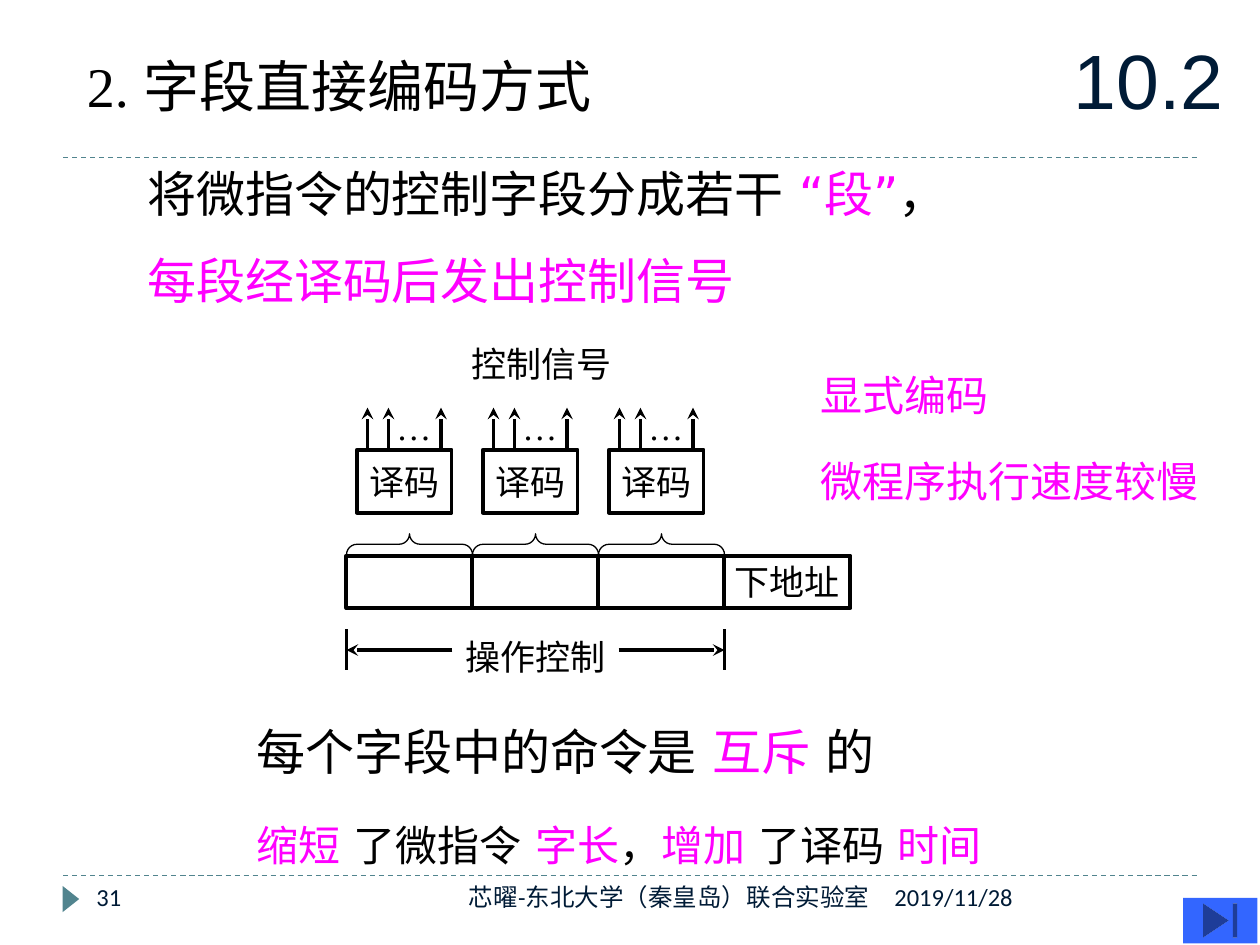
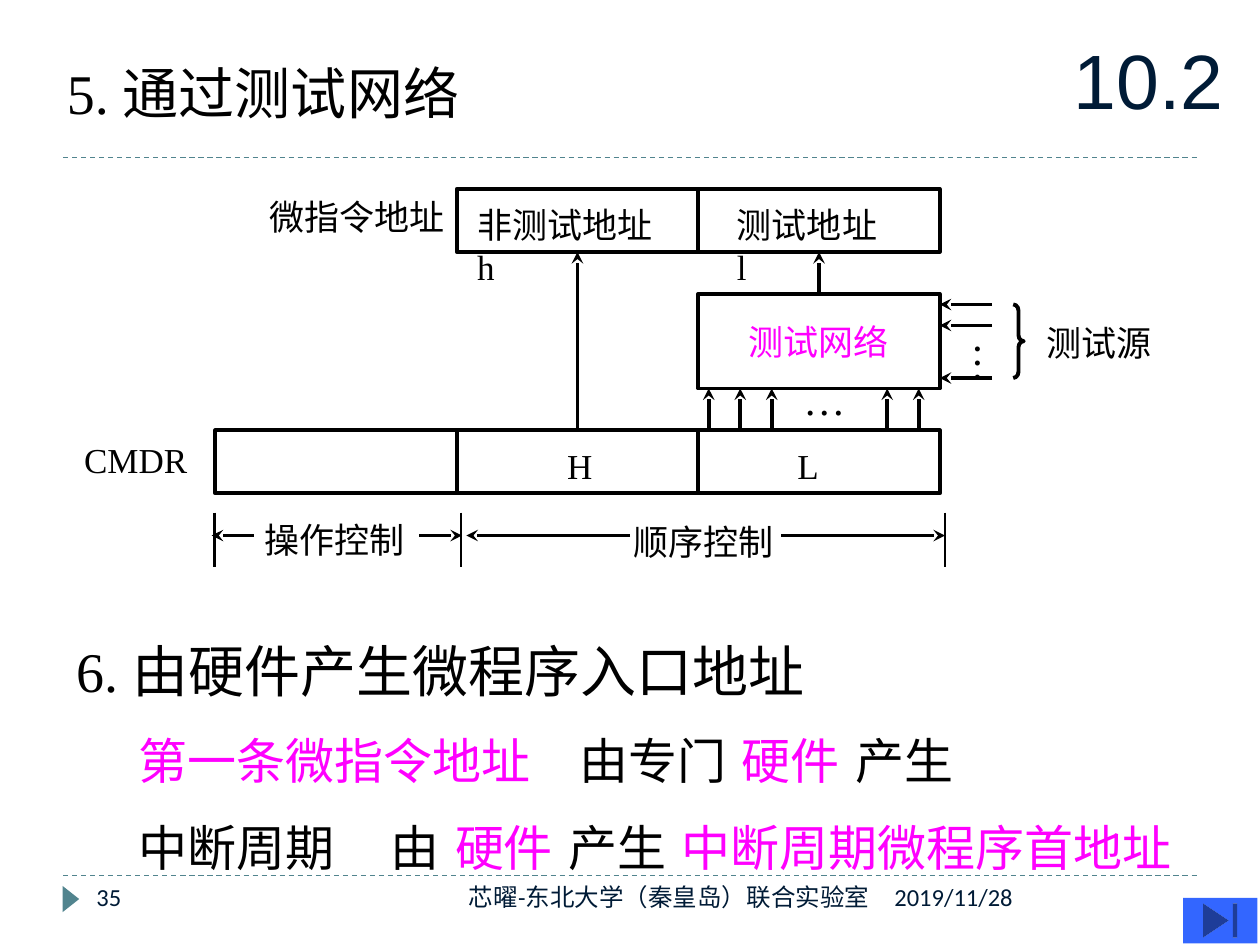
"""Build two slides on microinstruction encoding and microprogram address generation."""
from dataclasses import dataclass
from typing import Any, Optional

import lxml.etree
import pptx
import pptx.dml.color
import pptx.enum.dml
import pptx.enum.shapes
import pptx.enum.text
import pptx.oxml.ns
import pptx.util

Pt = pptx.util.Pt
qn = pptx.oxml.ns.qn
Shapes = pptx.enum.shapes.MSO_SHAPE
Align = pptx.enum.text.PP_ALIGN
Anchor = pptx.enum.text.MSO_ANCHOR

COLORS = {
    "ink": "000000",
    "accent": "FF00FF",
    "rule": "51848E",
    "navy": "001B36",
    "button": "3366FF",
}
SERIF, SANS, ARIAL, FOOTER_FONT = "Times New Roman", "DejaVu Sans", "Arial", "Calibri"
DATE = "2019/11/28"
LAB_NAME = "芯曜-东北大学（秦皇岛）联合实验室"


@dataclass(frozen=True)
class Box:
    left: float
    top: float
    width: float
    height: float = 31


@dataclass(frozen=True)
class Run:
    text: str
    color: Optional[str] = None
    font: Optional[str] = None


@dataclass(frozen=True)
class Label:
    text: str
    left: float
    top: float
    width: float = 110


@dataclass(frozen=True)
class Segment:
    x1: float
    y1: float
    x2: float
    y2: float
    arrow: bool = True
    weight: float = 2.25


def accent(text: str, font: Optional[str] = None) -> Run:
    return Run(text, "accent", font)


def rgb(name: str) -> pptx.dml.color.RGBColor:
    return pptx.dml.color.RGBColor.from_string(COLORS[name])


def place(shape: Any, box: Box) -> None:
    shape.left, shape.top = Pt(box.left), Pt(box.top)
    shape.width, shape.height = Pt(box.width), Pt(box.height)


def write_text(shape: Any, *paragraphs: list[Run], size: float = 20, color: str = "ink",
               font: str = SERIF, align: Any = Align.LEFT, anchor: Any = Anchor.TOP,
               wrap: bool = True, gap: float = 0, tabs: tuple[float, ...] = ()) -> None:
    frame = shape.text_frame
    frame.auto_size = pptx.enum.text.MSO_AUTO_SIZE.NONE
    frame.word_wrap = wrap
    frame.vertical_anchor = anchor
    for index, runs in enumerate(paragraphs):
        paragraph = frame.add_paragraph() if index else frame.paragraphs[0]
        properties = paragraph._p.get_or_add_pPr()
        properties.set("marL", "0")
        properties.set("indent", "0")
        lxml.etree.SubElement(properties, qn("a:buNone"))
        if tabs:
            tab_list = lxml.etree.SubElement(properties, qn("a:tabLst"))
            lxml.etree.SubElement(tab_list, qn("a:tab"), pos=str(Pt(tabs[index])), algn="l")
        paragraph.alignment = align
        paragraph.space_before = Pt(gap if index else 0)
        for item in runs:
            run = paragraph.add_run()
            run.text = item.text
            run.font.size = Pt(size)
            run.font.name = item.font or font
            run.font.color.rgb = rgb(item.color or color)
            east_asian = lxml.etree.SubElement(run._r.get_or_add_rPr(), qn("a:ea"))
            east_asian.set("typeface", SANS)


def add_text(slide: Any, box: Box, *runs: Run, **text_format: Any) -> Any:
    shape = slide.shapes.add_textbox(Pt(box.left), Pt(box.top), Pt(box.width), Pt(box.height))
    write_text(shape, list(runs), **text_format)
    return shape


def add_labels(slide: Any, labels: list[Label]) -> None:
    for label in labels:
        add_text(slide, Box(label.left, label.top, label.width), Run(label.text))


def add_shape(slide: Any, kind: Any, box: Box, fill: Optional[str] = None,
              weight: float = 2.25, rotation: float = 0) -> Any:
    shape = slide.shapes.add_shape(kind, Pt(box.left), Pt(box.top), Pt(box.width), Pt(box.height))
    shape.shadow.inherit = False
    shape.rotation = rotation
    if fill:
        shape.fill.solid()
        shape.fill.fore_color.rgb = rgb(fill)
        shape.line.fill.background()
    else:
        shape.fill.background()
        shape.line.color.rgb = rgb("ink")
        shape.line.width = Pt(weight)
    return shape


def add_cell(slide: Any, box: Box, text: str = "", color: str = "ink") -> Any:
    cell = add_shape(slide, Shapes.RECTANGLE, box)
    if text:
        write_text(cell, [Run(text)], color=color, align=Align.CENTER,
                   anchor=Anchor.MIDDLE, wrap=False)
    return cell


def add_segment(slide: Any, segment: Segment, color: str = "ink", dashed: bool = False) -> Any:
    connector = slide.shapes.add_connector(
        pptx.enum.shapes.MSO_CONNECTOR.STRAIGHT,
        Pt(segment.x1), Pt(segment.y1), Pt(segment.x2), Pt(segment.y2))
    connector.line.color.rgb = rgb(color)
    connector.line.width = Pt(segment.weight)
    if dashed:
        connector.line.dash_style = pptx.enum.dml.MSO_LINE.DASH
    if segment.arrow:
        lxml.etree.SubElement(connector.line._get_or_add_ln(), qn("a:tailEnd"), type="stealth")
    lxml.etree.SubElement(connector._element.spPr, qn("a:effectLst"))
    return connector


def join_up(slide: Any, lower: Any, upper: Any) -> None:
    connector = add_segment(slide, Segment(0, 0, 0, 0))
    connector.begin_connect(lower, 0)
    connector.end_connect(upper, 2)


def start_slide(presentation: Any, number: int, title_box: Box, title: list[Run],
                body_box: Box, body: list[list[Run]], tabs: tuple[float, ...] = ()) -> Any:
    slide = presentation.slides.add_slide(presentation.slide_layouts[1])
    place(slide.shapes.title, title_box)
    write_text(slide.shapes.title, title, size=32)
    place(slide.placeholders[1], body_box)
    write_text(slide.placeholders[1], *body, size=28, font=SANS, gap=16, tabs=tabs)
    for y in (90, 500.5):
        add_segment(slide, Segment(36, y, 684, y, False, 0.75), "rule", dashed=True)
    add_shape(slide, Shapes.ISOSCELES_TRIANGLE, Box(33, 509, 15, 9.5), "rule", rotation=90)
    add_text(slide, Box(606.5, 12, 113.5, 66), Run("10.2"), size=44, color="navy",
             font=ARIAL, anchor=Anchor.MIDDLE)
    add_shape(slide, Shapes.ACTION_BUTTON_END, Box(676, 513, 42.5, 26), "button")
    for text, left, width, align in ((DATE, 504, 180, Align.LEFT),
                                     (str(number), 48, 156, Align.LEFT),
                                     (LAB_NAME, 228, 276, Align.RIGHT)):
        add_text(slide, Box(left, 500.5, width, 29), Run(text), size=14, color="navy",
                 font=FOOTER_FONT, align=align)
    return slide


def add_decoder(slide: Any, left: float) -> None:
    add_cell(slide, Box(left + 6, 257, 54, 36), "译码")
    for offset in (12, 24, 54):
        add_segment(slide, Segment(left + offset, 257, left + offset, 233))
    add_text(slide, Box(left + 21.5, 228, 36), Run("…"))
    add_cell(slide, Box(left, 317.5, 72, 30))
    brace = add_shape(slide, Shapes.LEFT_BRACE, Box(left + 30, 275, 12, 72),
                      weight=0.75, rotation=90)
    brace.adjustments[0] = 0.5


def build_field_encoding(presentation: Any) -> None:
    slide = start_slide(
        presentation, 31, Box(42.5, 26, 560, 45), [Run("2. "), Run("字段直接编码方式", font=SANS)],
        Box(77, 90, 601, 91),
        [[Run("将微指令的控制字段分成若干 "), accent("“", ARIAL), accent("段"),
          accent("”", ARIAL), Run("，")],
         [accent("每段经译码后发出控制信号")]])
    for index in range(3):
        add_decoder(slide, 198 + 72 * index)
    add_cell(slide, Box(414, 317.5, 72, 30), "下地址")
    for x in (198, 414):
        add_segment(slide, Segment(x, 359.5, x, 383, arrow=False))
    for start, end in ((258.5, 198), (353.5, 414)):
        add_segment(slide, Segment(start, 371.5, end, 371.5))
    add_labels(slide, [Label("操作控制", 259, 359.5), Label("控制信号", 262.5, 192)])
    add_text(slide, Box(139.5, 409, 414, 41), Run("每个字段中的命令是 "), accent("互斥 "),
             Run("的"), size=28, font=SANS)
    add_text(slide, Box(139.5, 465, 440, 36), accent("缩短 "), Run("了微指令 "), accent("字长"),
             Run("，"), accent("增加 "), Run("了译码 "), accent("时间"), size=24)
    for text, top in (("显式编码", 207.5), ("微程序执行速度较慢", 256.5)):
        add_text(slide, Box(462, top, 245, 36), accent(text), size=24)


def build_test_network(presentation: Any) -> None:
    slide = start_slide(
        presentation, 35, Box(31, 30, 570, 45), [Run("5. "), Run("通过测试网络", font=SANS)],
        Box(72, 414, 614, 90),
        [[accent("第一条微指令地址"), Run("\t由专门 "), accent("硬件 "), Run("产生")],
         [Run("中断周期\t由 "), accent("硬件 "), Run("产生 "), accent("中断周期微程序首地址")]],
        tabs=(255, 138))
    add_text(slide, Box(36.5, 360, 504, 45), Run("6. 由硬件产生"),
             Run("微程序入口地址", font=SANS), size=32)

    columns = [123 + 138 * index for index in range(3)]
    address_high, address_low = [add_cell(slide, Box(x, 108, 138, 36)) for x in columns[1:]]
    register_cells = [add_cell(slide, Box(x, 246, 138, 36)) for x in columns]
    network = add_cell(slide, Box(columns[2], 168, 138, 54), "测试网络", "accent")
    join_up(slide, register_cells[1], address_high)
    join_up(slide, network, address_low)

    for x in (405, 423, 441, 507, 525):
        add_segment(slide, Segment(x, 246, x, 222))
    for y in (174, 186, 216):
        add_segment(slide, Segment(567, y, 537, y))
    add_text(slide, Box(452, 210, 40, 36), Run("…"), size=24)
    dots = add_text(slide, Box(542, 188.5, 43), Run("…"), size=24)
    dots.text_frame._txBody.bodyPr.set("vert", "eaVert")
    brace = add_shape(slide, Shapes.RIGHT_BRACE, Box(579, 174, 6, 42))
    brace.adjustments[0] = 0.58

    for x in (122.5, 263.5, 540):
        add_segment(slide, Segment(x, 293, x, 324, arrow=False, weight=1.5))
    for start, end in ((239.5, 264), (145, 121), (446.5, 540), (360, 266.5)):
        add_segment(slide, Segment(start, 306, end, 306))
    add_labels(slide, [
        Label("非测试地址 h", 265.5, 113, 121),
        Label("测试地址 l", 414, 113, 98),
        Label("微指令地址", 147, 108, 125),
        Label("测试源", 591, 180),
        Label("CMDR", 41, 247),
        Label("H", 317, 250.5, 40),
        Label("L", 448.5, 250.5, 40),
        Label("操作控制", 144, 293),
        Label("顺序控制", 355, 294),
    ])


def main() -> None:
    presentation = pptx.Presentation()
    presentation.slide_width, presentation.slide_height = Pt(720), Pt(540)
    build_field_encoding(presentation)
    build_test_network(presentation)
    presentation.save("out.pptx")


if __name__ == "__main__":
    main()
